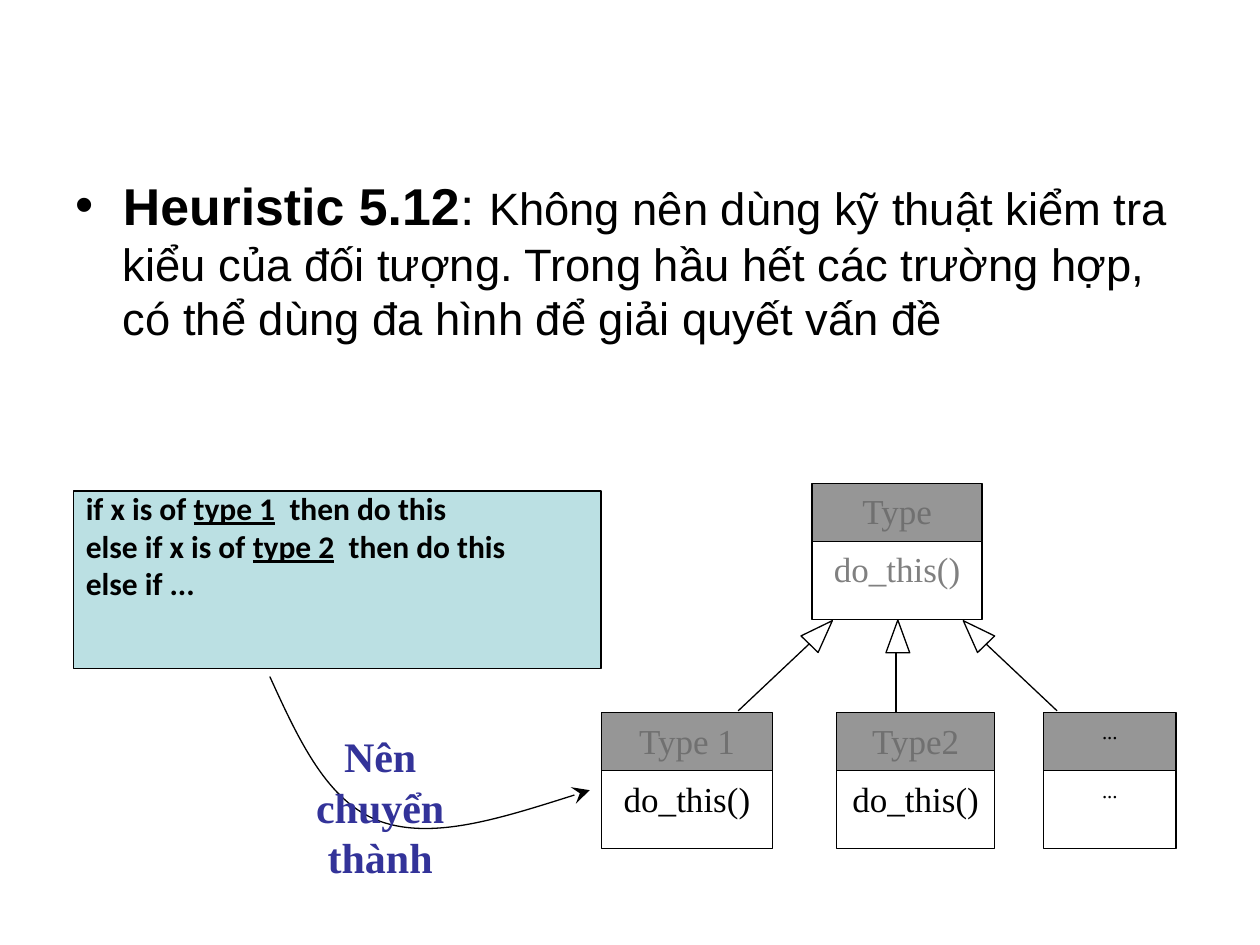
from pptx import Presentation
from pptx.dml.color import RGBColor
from pptx.enum.shapes import MSO_CONNECTOR as Link, MSO_SHAPE as Form
from pptx.enum.text import MSO_ANCHOR as Anchor, MSO_AUTO_SIZE as Fit, PP_ALIGN as Align
from pptx.oxml.ns import qn
from pptx.util import Cm, Pt
from lxml.etree import SubElement

SERIF = "Times New Roman"
BLACK, GREY, DIM = "000000", "808080", "707070"
HEAD, BODY = 1.17, 1.57


def paint(target, color):
    target.solid()
    target.fore_color.rgb = RGBColor.from_string(color)


def style(run, font, size, color=BLACK, bold=False, under=False):
    run.font.name = font
    run.font.size = Pt(size)
    run.font.bold = bold
    run.font.underline = under
    paint(run.font.fill, color)


def outline(shape):
    paint(shape.line.fill, BLACK)
    shape.line.width = Pt(0.75)


def add_form(slide, form, x, y, w, h, fill):
    shape = slide.shapes.add_shape(form, Cm(x), Cm(y), Cm(w), Cm(h))
    shape.shadow.inherit = False
    paint(shape.fill, fill)
    outline(shape)
    return shape


def add_cell(slide, x, y, w, h, fill, text, size, color):
    frame = add_form(slide, Form.RECTANGLE, x, y, w, h, fill).text_frame
    frame.vertical_anchor = Anchor.TOP
    frame.text = text
    para = frame.paragraphs[0]
    para.alignment = Align.CENTER
    style(para.runs[0], SERIF, size, color)


def add_class(slide, x, y, w, name, method, size=20, top=DIM, low=BLACK):
    add_cell(slide, x, y, w, HEAD, "969696", name, size, top)
    add_cell(slide, x, y + HEAD, w, BODY, "FFFFFF", method, size, low)


def add_link(slide, x1, y1, x2, y2):
    line = slide.shapes.add_connector(Link.STRAIGHT, Cm(x1), Cm(y1), Cm(x2), Cm(y2))
    outline(line)
    SubElement(line._element.spPr, qn("a:effectLst"))


def add_head(slide, x, y, turn):
    head = add_form(slide, Form.ISOSCELES_TRIANGLE, x, y, 0.48, 0.66, "FFFFFF")
    head.rotation = turn


def add_curve(slide, points):
    spots = [(Cm(x), Cm(y)) for x, y in points]
    pen = slide.shapes.build_freeform(*spots[0])
    pen.add_line_segments(spots[1:], close=False)
    curve = pen.convert_to_shape()
    curve.shadow.inherit = False
    curve.fill.background()
    outline(curve)
    edge = curve._element.spPr.find(qn("a:ln"))
    SubElement(edge, qn("a:tailEnd"), type="stealth", w="lg", len="lg")
    track = next(curve._element.iter(qn("a:path")))
    steps = track.findall(qn("a:lnTo"))
    for i in range(0, len(steps), 3):
        bend = SubElement(track, qn("a:cubicBezTo"))
        for step in steps[i:i + 3]:
            bend.append(step[0])
            track.remove(step)


def add_text(slide, x, y, w, h):
    frame = slide.shapes.add_textbox(Cm(x), Cm(y), Cm(w), Cm(h)).text_frame
    frame.word_wrap = True
    return frame


def fill_body(slide):
    title = slide.shapes.title._element
    title.getparent().remove(title)
    body = slide.placeholders[1]
    body.left, body.top, body.width, body.height = Cm(1.27), Cm(3.38), Cm(22.86), Cm(4.95)
    body.text_frame.auto_size = Fit.NONE
    para = body.text_frame.paragraphs[0]
    para.space_before = Pt(7)
    parts = [
        ("Heuristic 5.12", 29.6, True),
        (": ", 29.6, False),
        ("Không nên dùng kỹ thuật kiểm tra kiểu của đối tượng. "
         "Trong hầu hết các trường hợp, có thể dùng đa hình để giải quyết vấn đề", 25.9, False),
    ]
    for text, size, bold in parts:
        run = para.add_run()
        run.text = text
        style(run, "Arial", size, bold=bold)


def add_code(slide):
    add_form(slide, Form.RECTANGLE, 1.48, 9.9, 10.64, 3.58, "BBE0E3")
    frame = add_text(slide, 1.48, 9.73, 11.63, 2.54)
    rows = [
        ("if x is of ", "type 1", "  then do this"),
        ("else if x is of ", "type 2", "  then do this"),
        ("else if ...",),
    ]
    for i, row in enumerate(rows):
        para = frame.add_paragraph() if i else frame.paragraphs[0]
        for j, text in enumerate(row):
            run = para.add_run()
            run.text = text
            style(run, "Calibri", 18, bold=True, under=j == 1)


def add_note(slide):
    frame = add_text(slide, 5.44, 14.61, 4.45, 3.3)
    frame.text = "Nên chuyển thành"
    para = frame.paragraphs[0]
    para.alignment = Align.CENTER
    para.space_before = Pt(15)
    style(para.runs[0], SERIF, 24, "333399", bold=True)


def main():
    deck = Presentation()
    deck.slide_width, deck.slide_height = Cm(25.4), Cm(19.05)
    slide = deck.slides.add_slide(deck.slide_layouts[1])
    fill_body(slide)
    add_code(slide)

    add_class(slide, 16.37, 9.75, 3.43, "Type", "do_this()", low=GREY)
    add_class(slide, 21.04, 14.37, 2.67, "...", "...", size=12, top=BLACK)
    add_class(slide, 12.12, 14.37, 3.46, "Type 1", "do_this()")
    add_class(slide, 16.87, 14.37, 3.18, "Type2", "do_this()")

    add_link(slide, 18.06, 14.35, 18.06, 12.8)
    add_head(slide, 17.86, 12.5, 0)
    add_link(slide, 16.61, 12.7, 14.88, 14.33)
    add_head(slide, 16.31, 12.42, 44.1)
    add_link(slide, 19.58, 12.7, 21.31, 14.33)
    add_head(slide, 19.41, 12.42, 315.9)

    add_curve(slide, [(5.44, 13.64), (6.02, 14.91), (6.6, 16.18), (7.67, 16.56),
                      (8.74, 16.94), (10.31, 16.43), (11.89, 15.93)])
    add_note(slide)
    deck.save("out.pptx")


if __name__ == "__main__":
    main()
